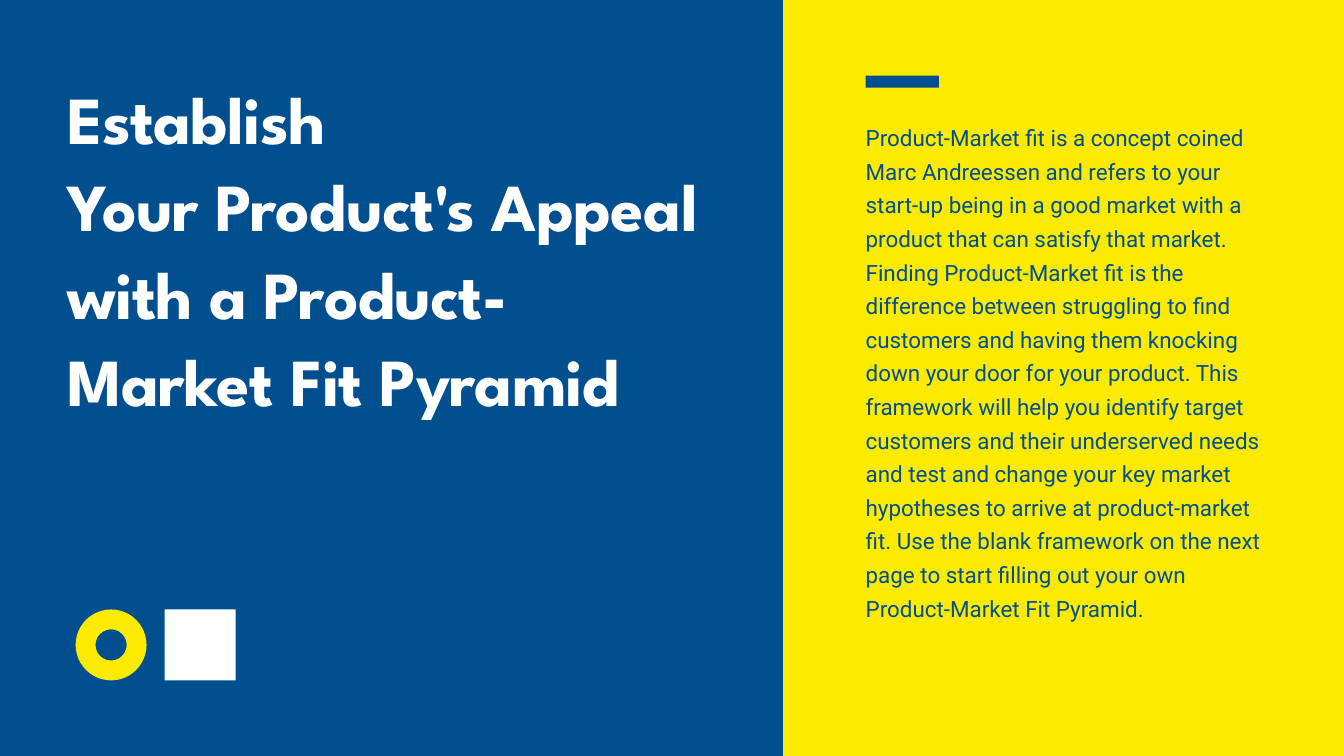
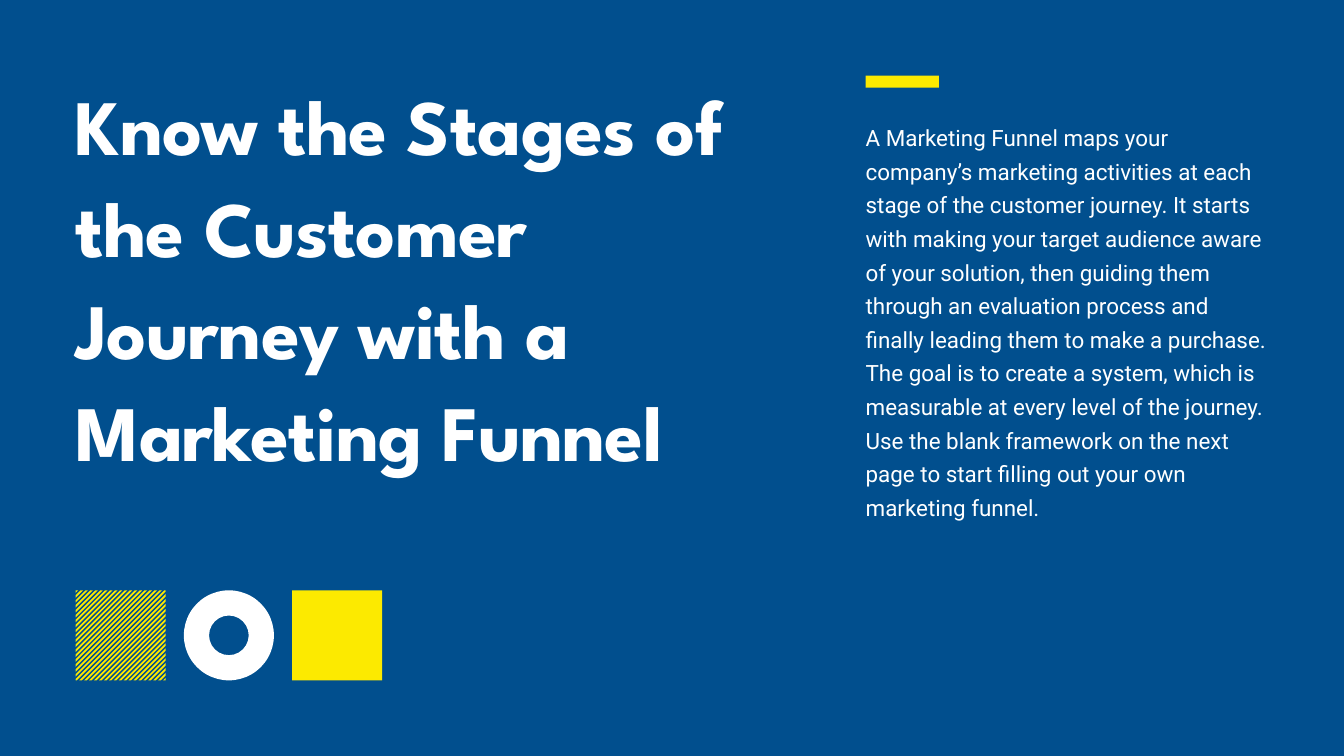
"""Build two framework introduction slides: product-market fit and marketing funnel."""
from pptx import Presentation
from pptx.dml.color import RGBColor
from pptx.enum import shapes, text
from pptx.util import Pt

BLUE = RGBColor(0x01, 0x4F, 0x8E)
YELLOW = RGBColor(0xFC, 0xEA, 0x00)
WHITE = RGBColor(0xFF, 0xFF, 0xFF)
SLIDE_W, SLIDE_H = 1440, 810
MARGIN = 81
BODY_LEFT = 927.5
BASELINE = 729
RECT, RING = shapes.MSO_SHAPE.RECTANGLE, shapes.MSO_SHAPE.DONUT


def write(box, content, *, font, size, leading, color, bold=False, spacing=0):
    frame = box.text_frame
    frame.word_wrap = True
    frame.auto_size = text.MSO_AUTO_SIZE.NONE
    frame.vertical_anchor = text.MSO_ANCHOR.TOP
    frame.margin_left = frame.margin_top = frame.margin_right = frame.margin_bottom = 0
    frame.text = content
    for paragraph in frame.paragraphs:
        paragraph.alignment = text.PP_ALIGN.LEFT
        paragraph.line_spacing = Pt(leading)
        run = paragraph.runs[0]
        run.font.name, run.font.size, run.font.bold = font, Pt(size), bold
        run.font.color.rgb = color
        if spacing:
            run._r.get_or_add_rPr().set("spc", str(spacing))


def add_block(slide, kind, left, top, width, height, color):
    block = slide.shapes.add_shape(kind, Pt(left), Pt(top), Pt(width), Pt(height))
    block.shadow.inherit = False
    block.fill.solid()
    block.fill.fore_color.rgb = color
    block.line.fill.background()
    if kind == RING:
        block.adjustments[0] = 0.28
    return block


prs = Presentation()
prs.slide_width, prs.slide_height = Pt(SLIDE_W), Pt(SLIDE_H)
backdrop = prs.slide_master.background.fill
backdrop.solid()
backdrop.fore_color.rgb = BLUE

fit_slide, funnel_slide = [prs.slides.add_slide(prs.slide_layouts[5]) for _ in range(2)]
add_block(fit_slide, RECT, 839, 0, SLIDE_W - 839, SLIDE_H, YELLOW)

introductions = [
    (fit_slide, "Establish\nYour Product's Appeal with a Product-Market Fit Pyramid",
     (72, 75.6, 680.4, 462), 72, -70, BLUE, BLUE, 536.4,
     "Product-Market fit is a concept coined Marc Andreessen and refers to your start-up "
     "being in a good market with a product that can satisfy that market. Finding "
     "Product-Market fit is the difference between struggling to find customers and having "
     "them knocking down your door for your product. This framework will help you identify "
     "target customers and their underserved needs and test and change your key market "
     "hypotheses to arrive at product-market fit. Use the blank framework on the next page "
     "to start filling out your own Product-Market Fit Pyramid."),
    (funnel_slide, "Know the Stages of the Customer Journey with a Marketing Funnel",
     (MARGIN, 74.2, 766, 435), 84, -80, YELLOW, WHITE, 429,
     "A Marketing Funnel maps your company’s marketing activities at each stage of the "
     "customer journey. It starts with making your target audience aware of your solution, "
     "then guiding them through an evaluation process and finally leading them to make a "
     "purchase. The goal is to create a system, which is measurable at every level of the "
     "journey. Use the blank framework on the next page to start filling out your own "
     "marketing funnel."),
]

for slide, heading, place, size, spacing, accent, body_color, body_height, body in introductions:
    title = slide.shapes.title
    title.left, title.top, title.width, title.height = [Pt(length) for length in place]
    write(title, heading, font="League Spartan", size=size, leading=size * 1.3,
          color=WHITE, bold=True, spacing=spacing)
    add_block(slide, RECT, BODY_LEFT, MARGIN, 78.5, 13, accent)
    description = slide.shapes.add_textbox(Pt(BODY_LEFT), Pt(126), Pt(432), Pt(body_height))
    write(description, body, font="Roboto", size=24, leading=36, color=body_color)

GAP = 19.5
ornaments = [
    (fit_slide, 76, [(0, RING, YELLOW), (1, RECT, WHITE)]),
    (funnel_slide, 96.5, [(1, RING, WHITE), (2, RECT, YELLOW)]),
]
for slide, side, marks in ornaments:
    for column, kind, color in marks:
        add_block(slide, kind, MARGIN + column * (side + GAP), BASELINE - side, side, side, color)

HATCH = 96.5
STRIPES = 37
pitch = 2 * HATCH / (STRIPES - 0.5)
hatch_top = BASELINE - HATCH
outlines = []
for stripe in range(STRIPES):
    start, end = stripe * pitch, (stripe + 0.5) * pitch
    stops = [start, HATCH, end] if start < HATCH < end else [start, end]
    upper = [(min(stop, HATCH), max(0, stop - HATCH)) for stop in stops]
    lower = [(y, x) for x, y in reversed(upper)]
    outlines.append([(Pt(MARGIN + x), Pt(hatch_top + y)) for x, y in upper + lower])

builder = funnel_slide.shapes.build_freeform(*outlines[0][0])
for outline in outlines:
    builder.move_to(*outline[0])
    builder.add_line_segments(outline[1:], close=True)
hatching = builder.convert_to_shape()
hatching.shadow.inherit = False
hatching.fill.solid()
hatching.fill.fore_color.rgb = YELLOW
hatching.line.fill.background()

prs.save("out.pptx")
